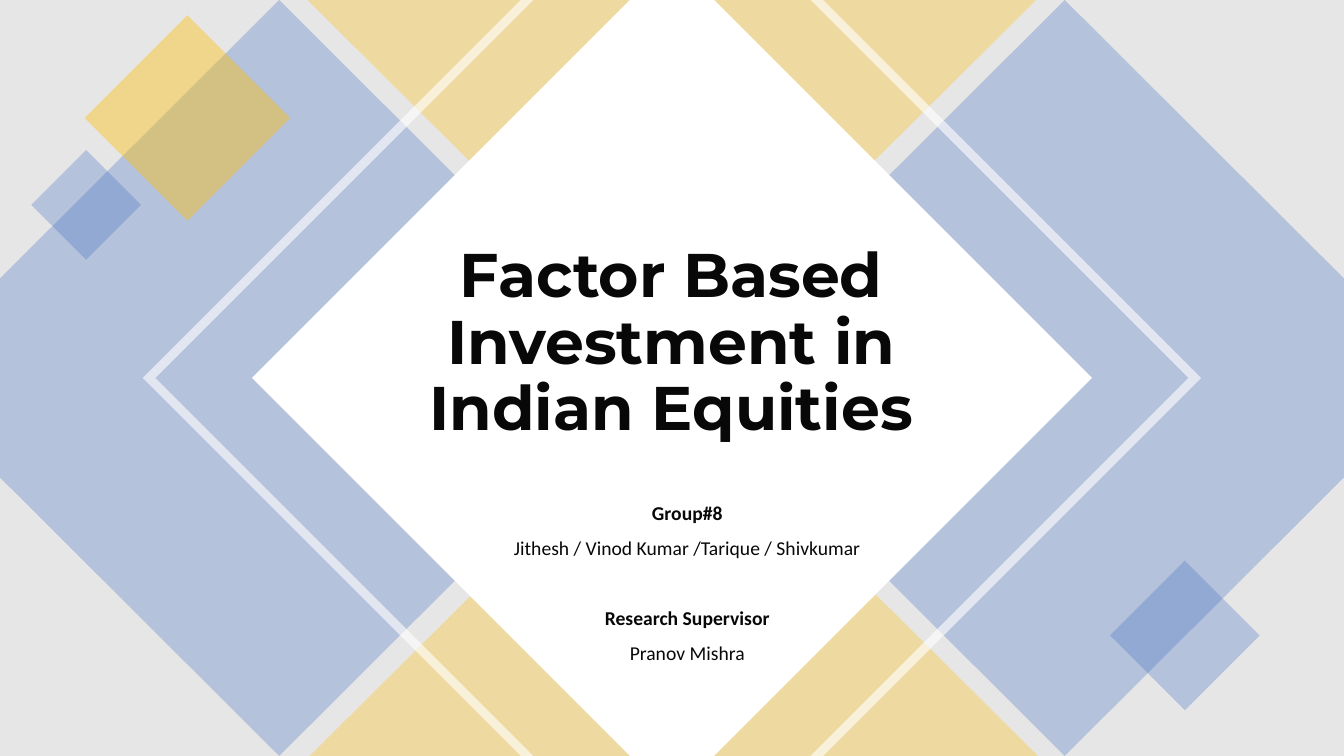
from dataclasses import dataclass

from lxml import etree
from pptx import Presentation
from pptx import util as u
from pptx.dml.color import RGBColor
from pptx.enum import shapes, text
from pptx.oxml.ns import qn

COLORS = {"grey": "E7E6E6", "blue": "4472C4", "gold": "FFC000",
          "white": "FFFFFF", "ink": "080808"}

# Grid of square cells: 32 columns by 18 rows
COLS, ROWS = 32, 18
WIDTH, HEIGHT = u.Inches(13.3333), u.Inches(7.5)
CELL = HEIGHT / ROWS

Point = tuple[float, float]


@dataclass
class Box:
    left: float
    top: float
    width: float
    height: float


@dataclass
class Block:
    kind: shapes.MSO_SHAPE
    box: Box
    color: str
    alpha: int = 100
    turn: int = 0


@dataclass
class Poly:
    rings: list[list[Point]]
    color: str
    alpha: int = 100


@dataclass
class Line:
    words: str
    bold: bool
    before: float


def cells(count: float) -> int:
    return round(count * CELL)


def mirror(ring: list[Point]) -> list[Point]:
    return [(COLS - x, y) for x, y in ring]


def square(x: float, y: float, side: float, color: str, alpha: int) -> Block:
    """Diamond: a square centred on (x, y), turned by 45 degrees."""
    box = Box(x - side / 2, y - side / 2, side, side)
    return Block(shapes.MSO_SHAPE.RECTANGLE, box, color, alpha, 45)


def paint(shape, color: str, alpha: int) -> None:
    shape.shadow.inherit = False
    shape.line.fill.background()
    shape.fill.solid()
    shape.fill.fore_color.rgb = RGBColor.from_string(COLORS[color])
    if alpha < 100:
        tint = shape.element.spPr.find(qn("a:solidFill"))[0]
        etree.SubElement(tint, qn("a:alpha")).set("val", str(alpha * 1000))


def place(shape, box: Box) -> None:
    shape.left, shape.top = cells(box.left), cells(box.top)
    shape.width, shape.height = cells(box.width), cells(box.height)


def draw(slide, part: Block | Poly) -> None:
    if isinstance(part, Block):
        box = part.box
        shape = slide.shapes.add_shape(part.kind, cells(box.left), cells(box.top),
                                       cells(box.width), cells(box.height))
        shape.rotation = part.turn
    else:
        rings = [[(cells(x), cells(y)) for x, y in ring] for ring in part.rings]
        pen = slide.shapes.build_freeform(*rings[0][0], scale=1.0)
        for ring in rings:
            if ring is not rings[0]:
                pen.move_to(*ring[0])
            pen.add_line_segments(ring[1:], close=True)
        shape = pen.convert_to_shape()
    paint(shape, part.color, part.alpha)


def write(holder, box: Box, lines: list[Line], face: str, size: int,
          anchor: text.MSO_ANCHOR) -> None:
    place(holder, box)
    frame = holder.text_frame
    frame.word_wrap = True
    frame.auto_size = text.MSO_AUTO_SIZE.NONE
    frame.vertical_anchor = anchor
    frame.text = "\n".join(line.words for line in lines)
    for para, line in zip(frame.paragraphs, lines):
        para.alignment = text.PP_ALIGN.CENTER
        para.line_spacing = 0.9
        para.space_before = u.Pt(line.before)
        font = para.runs[0].font
        font.name, font.size, font.bold = face, u.Pt(size), line.bold
        font.color.rgb = RGBColor.from_string(COLORS["ink"])
    # Bring the text in front of the shapes drawn so far
    holder.element.getparent().append(holder.element)


# Backdrop, back to front
WING = [(6.65, 0), (15.67, 9), (6.65, 18), (0, 11.37), (0, 6.63)]
STRIPE = [(12.4, 0), (12.7, 0), (3.7, 9), (12.7, 18), (12.4, 18), (3.4, 9)]
CENTRE = [(15, 0), (17, 0), (26, 9), (17, 18), (15, 18), (6, 9)]
PEAK = shapes.MSO_SHAPE.ISOSCELES_TRIANGLE

BACK = [
    Block(shapes.MSO_SHAPE.RECTANGLE, Box(0, 0, COLS, ROWS), "grey"),
    Poly([WING], "blue", 30),
    Poly([mirror(WING)], "blue", 30),
    Block(PEAK, Box(7.32, 0, 17.35, 8.62), "gold", 30, 180),
    Block(PEAK, Box(7.37, 9.38, 17.35, 8.62), "gold", 30),
    Poly([CENTRE], "white"),
    square(28.21, 15.13, 2.52, "blue", 30),
    Poly([STRIPE, mirror(STRIPE)], "white", 60),
]

# Small diamonds at the top left
FRONT = [
    square(4.46, 2.81, 3.46, "gold", 40),
    square(2.05, 4.88, 1.85, "blue", 30),
]

TITLE = [Line("Factor Based Investment in Indian Equities", True, 0)]
TEAM = [
    Line("Group#8", True, 0),
    Line("Jithesh / Vinod Kumar /Tarique / Shivkumar", False, 10),
    Line("Research Supervisor", True, 35),
    Line("Pranov Mishra", False, 10),
]


def main() -> None:
    deck = Presentation()
    deck.slide_width, deck.slide_height = WIDTH, HEIGHT
    slide = deck.slides.add_slide(deck.slide_layouts[0])
    title, team = slide.placeholders

    for part in BACK:
        draw(slide, part)

    # Title sits above the middle of its box
    write(title, Box(8.4, 6.17, 15.17, 5.64), TITLE, "Montserrat", 44,
          text.MSO_ANCHOR.MIDDLE)
    title.text_frame.margin_bottom = cells(1.7)
    write(team, Box(11.66, 11.86, 9.41, 3), TEAM, "Calibri", 14,
          text.MSO_ANCHOR.TOP)

    for part in FRONT:
        draw(slide, part)
    deck.save("out.pptx")


if __name__ == "__main__":
    main()
